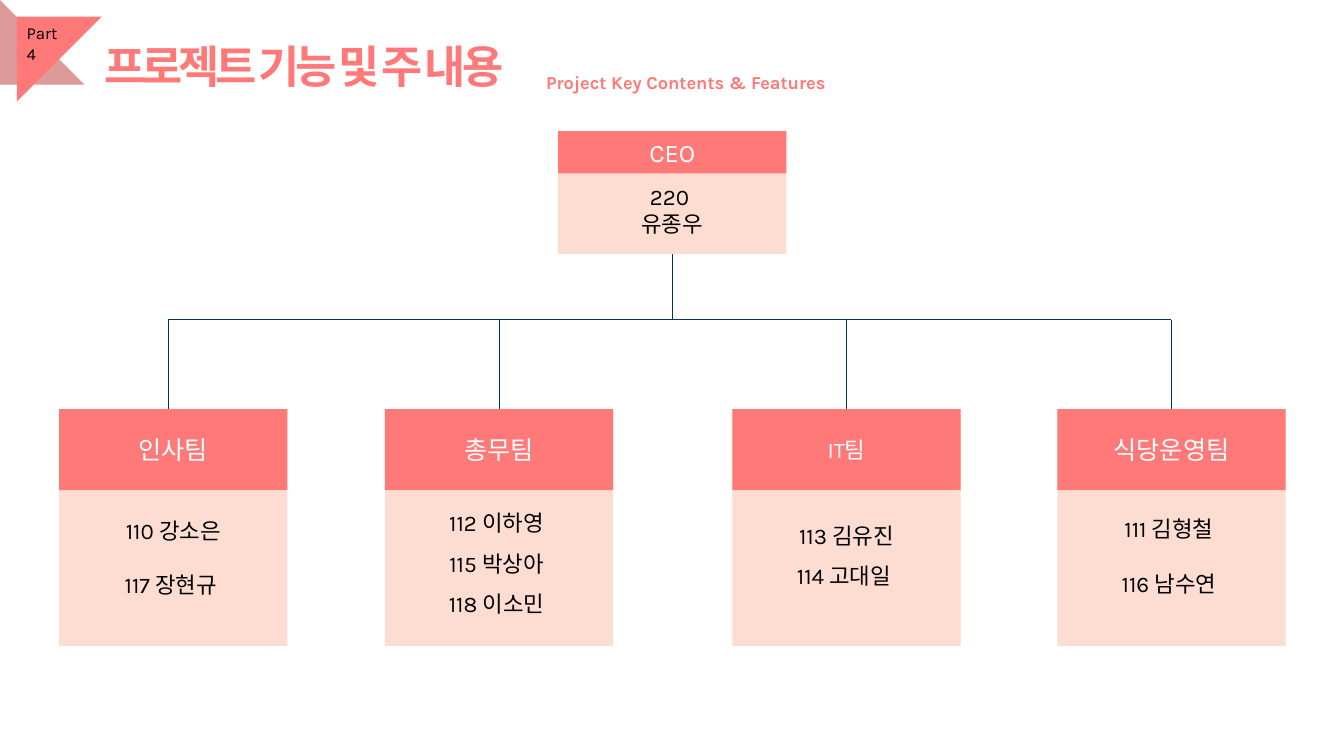
"""Build an organisation chart slide with a CEO and four teams."""
import pptx
import pptx.dml.color
import pptx.enum.shapes
import pptx.enum.text
import pptx.oxml.ns
import pptx.util
from lxml import etree

Pt = pptx.util.Pt
SHAPE = pptx.enum.shapes.MSO_SHAPE
ANCHOR = pptx.enum.text.MSO_ANCHOR
ALIGN = pptx.enum.text.PP_ALIGN
COLORS = {
    "coral": "FF7979",
    "peach": "FDDDD2",
    "rose": "DC9A98",
    "navy": "003560",
    "black": "000000",
    "white": "FFFFFF",
}


class OrgSlide:
    font = "Karla"
    card_width = 163

    def __init__(self, slide):
        self.slide = slide

    def color(self, name):
        return pptx.dml.color.RGBColor.from_string(COLORS[name])

    def paragraph(self, p, text, size, color, bold=False):
        r = p.add_run()
        r.text = text
        p.font.name = self.font
        p.font.size = Pt(size)
        p.font.bold = bold
        p.font.color.rgb = self.color(color)
        return r

    def shape(self, kind, x, y, w, h, fill):
        sp = self.slide.shapes.add_shape(kind, Pt(x), Pt(y), Pt(w), Pt(h))
        sp.shadow.inherit = False
        sp.fill.solid()
        sp.fill.fore_color.rgb = self.color(fill)
        sp.line.fill.background()
        return sp

    def text(self, x, y, w, h, text, size, color, bold=False, spacing=0):
        tf = self.slide.shapes.add_textbox(Pt(x), Pt(y), Pt(w), Pt(h)).text_frame
        tf.word_wrap = True
        r = self.paragraph(tf.paragraphs[0], text, size, color, bold)
        if spacing:
            r._r.get_or_add_rPr().set("spc", str(spacing * 100))

    def card(self, x, y, h, head_h, title, title_size, lines, inset, leading=1, gap=0):
        sp = self.shape(SHAPE.RECTANGLE, x, y, self.card_width, h, "peach")
        tf = sp.text_frame
        tf.vertical_anchor = ANCHOR.TOP
        tf.margin_top = Pt(inset)
        for i, line in enumerate(lines):
            p = tf.add_paragraph() if i else tf.paragraphs[0]
            p.alignment = ALIGN.CENTER
            p.line_spacing = leading
            p.space_before = Pt(gap if i else 0)
            self.paragraph(p, line, 16, "black")
        sp = self.shape(SHAPE.RECTANGLE, x, y, self.card_width, head_h, "coral")
        sp.text_frame.vertical_anchor = ANCHOR.MIDDLE
        p = sp.text_frame.paragraphs[0]
        p.alignment = ALIGN.CENTER
        self.paragraph(p, title, title_size, "white")

    def line(self, x1, y1, x2, y2):
        cxn = self.slide.shapes.add_connector(
            pptx.enum.shapes.MSO_CONNECTOR.STRAIGHT, Pt(x1), Pt(y1), Pt(x2), Pt(y2))
        cxn.line.color.rgb = self.color("navy")
        cxn.line.width = Pt(0.5)
        etree.SubElement(cxn._element.spPr, pptx.oxml.ns.qn("a:effectLst"))


def main():
    prs = pptx.Presentation()
    prs.slide_width, prs.slide_height = Pt(960), Pt(540)
    s = OrgSlide(prs.slides.add_slide(prs.slide_layouts[6]))

    ceo_top, ceo_h, bus_y, team_top = 93.6, 87.8, 228.3, 292.3
    s.card(398.7, ceo_top, ceo_h, 30.2, "CEO", 18, ["220 ", "유종우"], 37)

    teams = [
        (42.3, 120.2, "인사팀", 18, ["110 강소은", "117 장현규 "], 77, 1, 19.5),
        (275, 356.4, "총무팀", 18, ["112 이하영 ", "115 박상아 ", "118 이소민 "], 62, 1.5, 0),
        (523.2, 604.4, "IT팀", 16, ["113 김유진", "114 고대일 "], 71, 1.5, 0),
        (755.3, 836.8, "식당운영팀", 18, ["111 김형철 ", "116 남수연 "], 76, 1, 19.5),
    ]
    for x, stem, title, size, members, inset, leading, gap in teams:
        s.card(x, team_top, 169, 57.8, title, size, members, inset, leading, gap)
        s.line(stem, bus_y, stem, team_top)
    s.line(teams[0][1], bus_y, teams[-1][1], bus_y)
    s.line(480.2, ceo_top + ceo_h, 480.2, bus_y)

    s.shape(SHAPE.RIGHT_TRIANGLE, 0, 0, 60.5, 60.5, "rose")
    s.shape(SHAPE.RIGHT_TRIANGLE, 12, 12, 60.5, 60.5, "coral").rotation = 90
    s.text(12, 13, 45.4, 21.6, "Part 4", 12, "black")
    s.text(67.7, 23.8, 370, 46, "프로젝트 기능 및 주 내용", 32, "coral", True, -3)
    s.text(383, 47.5, 219.6, 23, "Project Key Contents & Features", 13, "coral", True)
    prs.save("out.pptx")


if __name__ == "__main__":
    main()
